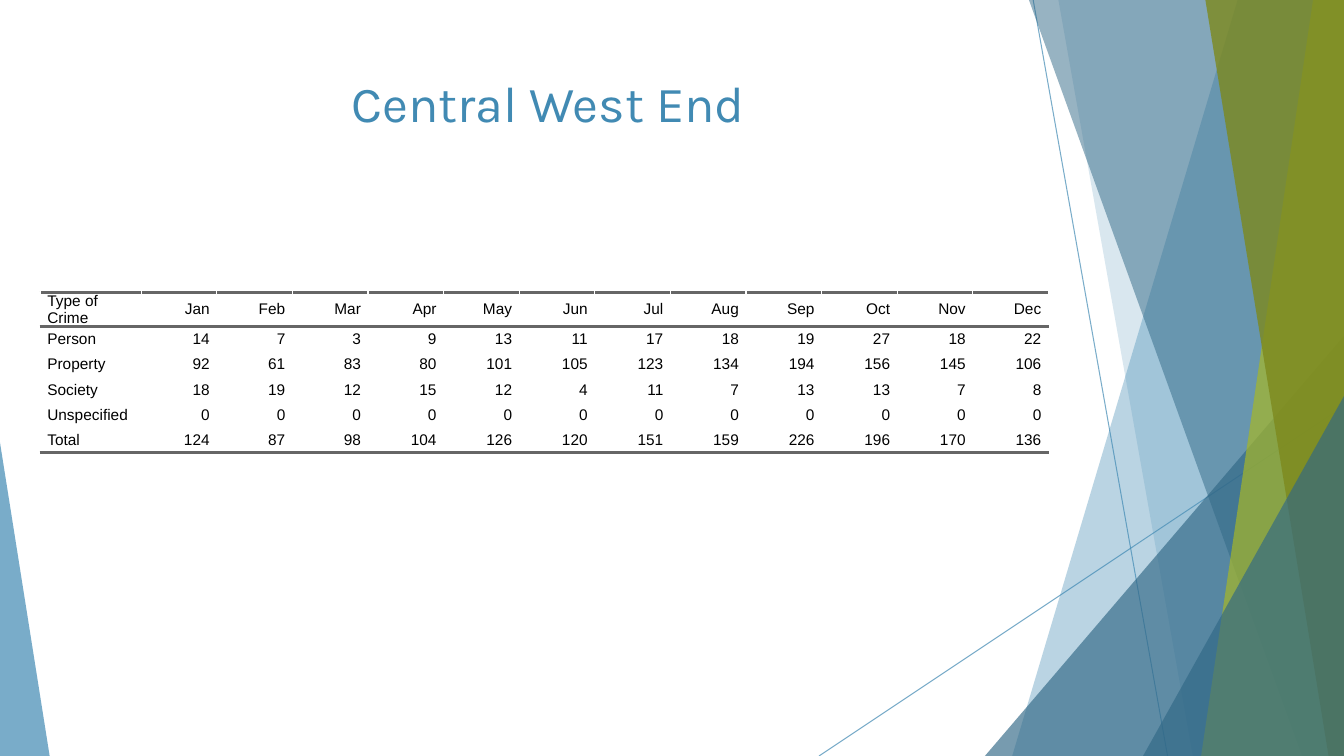
from pptx import Presentation
from pptx.dml.color import RGBColor as RGB
from pptx.enum.shapes import MSO_CONNECTOR as CONN, MSO_SHAPE as SHAPE
from pptx.enum.text import MSO_ANCHOR as ANCHOR, PP_ALIGN as ALIGN
from pptx.oxml.ns import qn
from pptx.util import Pt
from lxml.etree import SubElement, Element

W, H = 960, 540
COLORS = {"blue": "418AB3", "navy": "316886", "lime": "A6B727",
          "olive": "7D891D", "rule": "666666", "text": "000000"}
TITLE_FONT = {"name": "Karla", "size": Pt(36)}
CELL_FONT = {"name": "Arial", "size": Pt(11), "bold": False}
CELL_FORMAT = {"vertical_anchor": ANCHOR.MIDDLE, "margin_left": Pt(5),
               "margin_right": Pt(5), "margin_top": 0, "margin_bottom": 0}
MONTHS = "Jan Feb Mar Apr May Jun Jul Aug Sep Oct Nov Dec".split()
CRIMES = {
    "Person": [14, 7, 3, 9, 13, 11, 17, 18, 19, 27, 18, 22],
    "Property": [92, 61, 83, 80, 101, 105, 123, 134, 194, 156, 145, 106],
    "Society": [18, 19, 12, 15, 12, 4, 11, 7, 13, 13, 7, 8],
    "Unspecified": [0] * 12,
}


def rgb(color):
    return RGB.from_string(COLORS[color])


def set_format(target, values):
    for name, value in values.items():
        setattr(target, name, value)


def set_font(p, font, color):
    set_format(p.font, font)
    p.font.color.rgb = rgb(color)


def set_alpha(sp, percent):
    for clr in sp.element.spPr.iter(qn("a:srgbClr")):
        SubElement(clr, qn("a:alpha"), val=str(percent * 1000))


def paint(sp, color, alpha):
    sp.shadow.inherit = False
    sp.fill.solid()
    sp.fill.fore_color.rgb = rgb(color)
    sp.line.fill.background()
    set_alpha(sp, alpha)


def add_thin_line(s, x1, y1, x2, y2):
    line = s.shapes.add_connector(CONN.STRAIGHT, Pt(x1), Pt(y1), Pt(x2), Pt(y2))
    line.line.color.rgb = rgb("blue")
    line.line.width = Pt(0.75)
    set_alpha(line, 70)
    SubElement(line.element.spPr, qn("a:effectLst"))


def add_band(s, right, top, bottom, top_width, bottom_width, color, alpha):
    """Slanted band that fills everything up to the right edge."""
    corners = [(right, top), (right, bottom), (right - bottom_width, bottom)]
    fb = s.shapes.build_freeform(Pt(right - top_width), Pt(top), scale=1.0)
    fb.add_line_segments([(Pt(x), Pt(y)) for x, y in corners], close=True)
    paint(fb.convert_to_shape(), color, alpha)


def add_corner(s, x, bottom, w, h, apex, color, alpha):
    """Triangle standing on the bottom edge; apex 0 is left, 1 is right."""
    sp = s.shapes.add_shape(SHAPE.ISOSCELES_TRIANGLE,
                            Pt(x), Pt(bottom - h), Pt(w), Pt(h))
    sp.adjustments[0] = apex
    paint(sp, color, alpha)


def add_facets(s, x, y, w, h):
    right, bottom = x + w, y + h
    add_thin_line(s, right - 222, y, right - 126, bottom)
    add_thin_line(s, right, y + 290, right - 375, bottom)

    def band(*args):
        add_band(s, right, y, bottom, *args)

    def right_corner(cw, ch):
        add_corner(s, right - cw, bottom, cw, ch, 1, "navy", 66)

    band(76, 237, "blue", 36)
    band(204, 108, "blue", 20)
    right_corner(256.5, 300)
    band(225, 30, "navy", 50)
    band(22, 102, "lime", 70)
    band(99, 11, "olive", 80)
    right_corner(143.5, 257)
    add_corner(s, x, bottom, 35.5, 224, 0, "blue", 70)


def add_title(s, x, y, w, h, text):
    tf = s.shapes.add_textbox(Pt(x), Pt(y), Pt(w), Pt(h)).text_frame
    tf.word_wrap = True
    p = tf.paragraphs[0]
    p.text = text
    p.alignment = ALIGN.CENTER
    set_font(p, TITLE_FONT, "blue")


def add_rules(cell, sides):
    """Draw 2 pt borders on the named sides, given in T, B order."""
    tc_pr = cell._tc.get_or_add_tcPr()
    for i, side in enumerate(sides):
        ln = Element(qn(f"a:ln{side}"), w=str(Pt(2)))
        fill = SubElement(ln, qn("a:solidFill"))
        SubElement(fill, qn("a:srgbClr"), val=COLORS["rule"])
        tc_pr.insert(i, ln)


def add_crime_table(s, x, y, label_w, month_w, row_h):
    totals = [sum(month) for month in zip(*CRIMES.values())]
    rows = [["Type of Crime", *MONTHS],
            *([name, *counts] for name, counts in CRIMES.items()),
            ["Total", *totals]]
    last = len(rows) - 1
    widths = [label_w] + [month_w] * len(MONTHS)
    table = s.shapes.add_table(len(rows), len(widths), Pt(x), Pt(y),
                               Pt(sum(widths)), Pt(row_h * len(rows))).table
    set_format(table, {"first_row": False, "horz_banding": False})
    for column, width in zip(table.columns, widths):
        column.width = Pt(width)
    for r, values in enumerate(rows):
        table.rows[r].height = Pt(row_h)
        for c, value in enumerate(values):
            cell = table.cell(r, c)
            set_format(cell, CELL_FORMAT)
            cell.fill.background()
            add_rules(cell, {0: "TB", last: "B"}.get(r, ""))
            p = cell.text_frame.paragraphs[0]
            p.text = str(value)
            p.alignment = ALIGN.RIGHT if c else ALIGN.LEFT
            set_font(p, CELL_FONT, "text")


def main():
    prs = Presentation()
    prs.slide_width, prs.slide_height = Pt(W), Pt(H)
    s = prs.slides.add_slide(prs.slide_layouts[6])
    add_facets(s, 0, 0, W, H)
    add_crime_table(s, 28.8, 208.8, 72, 54, 18)
    add_title(s, 53, 48, 677, 104, "Central West End")
    prs.save("out.pptx")


if __name__ == "__main__":
    main()
